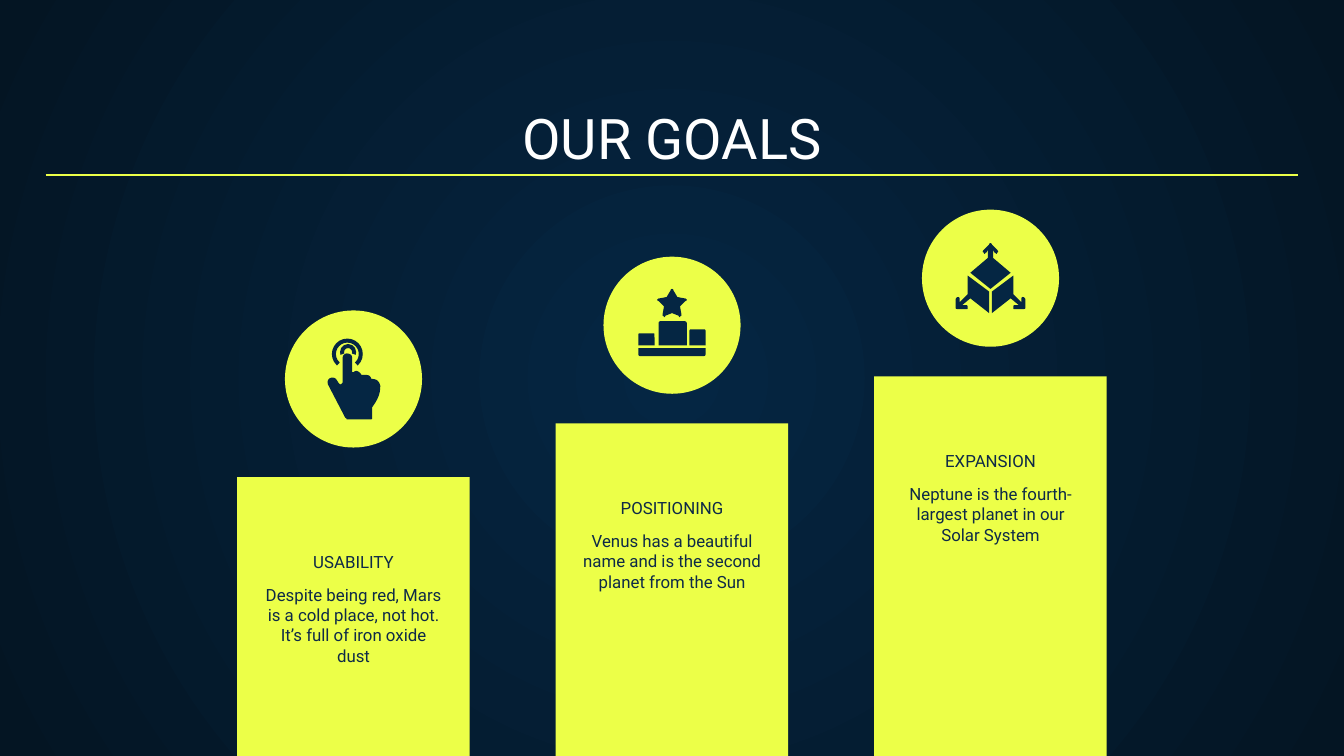
from dataclasses import dataclass

from lxml.etree import SubElement as Sub
from pptx import Presentation
from pptx.dml.color import RGBColor as Rgb
from pptx.enum.shapes import MSO_CONNECTOR as Link, MSO_SHAPE as Kind
from pptx.enum.text import MSO_ANCHOR as Anchor, PP_ALIGN as Align
from pptx.oxml.ns import qn
from pptx.util import Inches, Pt

CELL = Inches(0.01)
COLS, ROWS = 1000, 562.5


@dataclass(frozen=True)
class Theme:
    """Colours, font and type sizes of the slide."""
    lime: Rgb = Rgb.from_string("ECFF48")
    navy: Rgb = Rgb.from_string("052643")
    night: Rgb = Rgb.from_string("041523")
    ink: Rgb = Rgb.from_string("0E2A47")
    white: Rgb = Rgb.from_string("FFFFFF")
    font: str = "Roboto"
    head: int = 30
    body: int = 9
    rule: float = 0.75


@dataclass(frozen=True)
class Box:
    """A block of grid cells."""
    x: float
    y: float
    w: float
    h: float

    def sub(self, x, y, w, h):
        """Return a block placed relative to this one."""
        return Box(self.x + x, self.y + y, w, h)

    def emu(self):
        """Return left, top, width and height as lengths."""
        return [round(v * CELL) for v in (self.x, self.y, self.w, self.h)]


THEME = Theme()

HAND = """46 32 / 45 32 43 33 43 35 / 43 53 / 43 54 42 55 41 55 / 41 55 40 54 40 54
/ 38 51 / 37 50 36 50 35 50 / 33 50 31 52 32 55 / 45 80 / 46 80 46 81 46 81 / 64 81
/ 65 81 65 80 65 80 / 65 72 / 70 65 71 61 71 56 / 70 51 66 51 65 51
/ 64 51 64 50 64 50 / 63 48 61 48 60 48 / 59 48 58 48 58 48 / 57 48
/ 56 46 54 45 53 45 / 52 45 51 46 51 46 / 50 46 50 46 50 45 / 50 35 / 50 33 48 32 46 32"""
STAR = """51 24 / 51 24 50 24 50 25 / 47 30 / 42 31 / 41 31 41 31 40 32
/ 40 32 40 33 41 33 / 45 37 / 44 43 / 44 43 44 44 44 44 / 45 44 45 45 45 45
/ 46 45 46 44 46 44 / 51 42"""
ROOF = """51 25 / 51 25 50 25 50 26 / 46 30 / 45 31 45 32 46 32 / 46 32 46 33 47 33
/ 47 33 47 32 48 32 / 49 30 / 49 36 / 36 47 / 51 59"""
WALL = """34 49 / 34 63 / 28 69 / 28 67 / 28 66 28 65 27 65 / 26 65 25 66 25 67 / 25 73
/ 25 74 26 74 27 74 / 33 74 / 34 74 34 74 34 73 / 34 72 34 71 33 71 / 30 71 / 36 66
/ 50 77 / 50 61"""


def trace(text, steps=6):
    """Turn line and curve steps into a list of points."""
    pts = []
    for step in text.split("/"):
        nums = [float(n) for n in step.split()]
        if len(nums) == 2:
            pts.append(tuple(nums))
            continue
        start = pts[-1]
        for i in range(1, steps + 1):
            t = i / steps
            u = 1 - t
            pts.append(tuple(
                u**3 * start[k] + 3 * u * u * t * nums[k]
                + 3 * u * t * t * nums[k + 2] + t**3 * nums[k + 4] for k in (0, 1)))
    return pts


def flip(pts):
    """Mirror points about the middle of an icon, in reverse order."""
    return [(102 - x, y) for x, y in reversed(pts)]


def paint(shape, tone):
    """Give a shape a plain fill and no line or shadow."""
    shape.shadow.inherit = False
    shape.fill.solid()
    shape.fill.fore_color.rgb = tone
    shape.line.fill.background()
    return shape


def block(shapes, kind, box, tone):
    """Place a plain preset shape."""
    return paint(shapes.add_shape(kind, *box.emu()), tone)


def form(shapes, box, pts):
    """Place a closed outline relative to a box."""
    spots = [(round((box.x + x) * CELL), round((box.y + y) * CELL)) for x, y in pts]
    pen = shapes.build_freeform(*spots[0])
    pen.add_line_segments(spots[1:], close=True)
    paint(pen.convert_to_shape(), THEME.navy)


def label(shapes, box, text, size, tone, anchor):
    """Place one centred paragraph."""
    frame = shapes.add_textbox(*box.emu()).text_frame
    frame.word_wrap = True
    frame.vertical_anchor = anchor
    frame.margin_left = frame.margin_right = Inches(0.1)
    frame.margin_top = frame.margin_bottom = Inches(0.1)
    para = frame.paragraphs[0]
    para.alignment = Align.CENTER
    run = para.add_run()
    run.text = text
    run.font.name = THEME.font
    run.font.size = Pt(size)
    run.font.color.rgb = tone


def touch(shapes, box):
    """Draw a pressing hand under two arcs."""
    for x, y, size, start, end, thick in ((35, 21, 23, 132, 48, 0.13),
                                          (41, 25, 12, 160, 20, 0.25)):
        arc = block(shapes, Kind.BLOCK_ARC, box.sub(x, y, size, size), THEME.navy)
        for i, value in enumerate((start * 0.6, end * 0.6, thick)):
            arc.adjustments[i] = value
    form(shapes, box, trace(HAND))


def podium(shapes, box):
    """Draw a star over a podium."""
    half = trace(STAR)
    form(shapes, box, half + flip(half))
    for x, y, w, h in ((26, 57, 12, 9), (41, 48, 21, 18), (64, 54, 12, 12)):
        block(shapes, Kind.ROUND_2_SAME_RECTANGLE, box.sub(x, y, w, h),
              THEME.navy).adjustments[0] = 0.08
    foot = block(shapes, Kind.ROUND_2_SAME_RECTANGLE, box.sub(26, 68, 50, 6), THEME.navy)
    foot.adjustments[0], foot.adjustments[1] = 0, 0.2


def cube(shapes, box):
    """Draw a cube with three arrows."""
    roof, wall = trace(ROOF), trace(WALL)
    for pts in (roof + flip(roof), wall, flip(wall)):
        form(shapes, box, pts)


def column(slide, box, name, text, icon):
    """Place a badge, a bar and its words in a box."""
    shapes = slide.shapes
    block(shapes, Kind.RECTANGLE, box.sub(0, 124, box.w, box.h - 124), THEME.lime)
    badge = box.sub((box.w - 102) / 2, 0, 102, 102)
    block(shapes, Kind.OVAL, badge, THEME.lime)
    icon(shapes.add_group_shape().shapes, badge)
    label(shapes, box.sub((box.w - 227) / 2, 181, 227, 21), name,
          THEME.body, THEME.ink, Anchor.BOTTOM)
    label(shapes, box.sub((box.w - 152) / 2, 194, 152, 55), text,
          THEME.body, THEME.ink, Anchor.TOP)


def header(slide, box):
    """Place the title and the rule across its foot."""
    label(slide.shapes, box, "OUR GOALS", THEME.head, THEME.white, Anchor.BOTTOM)
    x, y, w, _ = box.sub(0, 59, box.w, 0).emu()
    rule = slide.shapes.add_connector(Link.STRAIGHT, x, y, x + w, y)
    rule.line.color.rgb = THEME.lime
    rule.line.width = Pt(THEME.rule)
    Sub(rule.element.spPr, qn("a:effectLst"))


def glow(slide):
    """Fill the background with a round gradient."""
    fill = slide.background.fill
    fill.gradient()
    for stop, tone, spot in zip(fill.gradient_stops, (THEME.navy, THEME.night), (0, 1)):
        stop.color.rgb = tone
        stop.position = spot
    grad = next(slide.element.iter(qn("a:gradFill")))
    grad.remove(grad.find(qn("a:lin")))
    ring = Sub(grad, qn("a:path"), {"path": "circle"})
    Sub(ring, qn("a:fillToRect"), {side: "50000" for side in "ltrb"})


def main():
    """Build the slide and save it."""
    deck = Presentation()
    deck.slide_width, deck.slide_height = round(COLS * CELL), round(ROWS * CELL)
    slide = deck.slides.add_slide(deck.slide_layouts[6])
    glow(slide)
    header(slide, Box(34, 71.3, COLS - 68, 66))
    goals = (
        (231, "USABILITY", "Despite being red, Mars is a cold place, not hot. "
         "It’s full of iron oxide dust", touch),
        (191, "POSITIONING", "Venus has a beautiful name and is the second planet "
         "from the Sun", podium),
        (156, "EXPANSION", "Neptune is the fourth-largest planet in our Solar System", cube),
    )
    for i, (top, *goal) in enumerate(goals):
        column(slide, Box(176.5 + 237 * i, top, 173, ROWS - top), *goal)
    deck.save("out.pptx")


if __name__ == "__main__":
    main()
